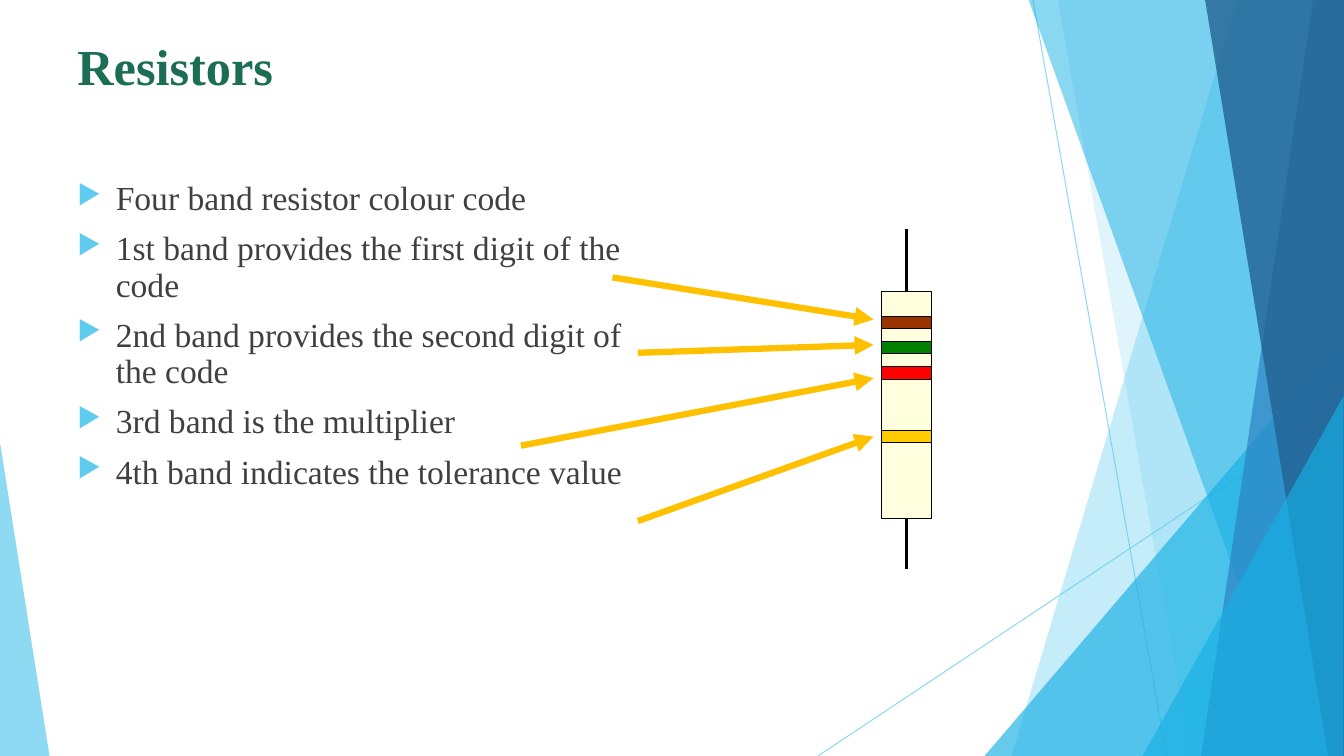
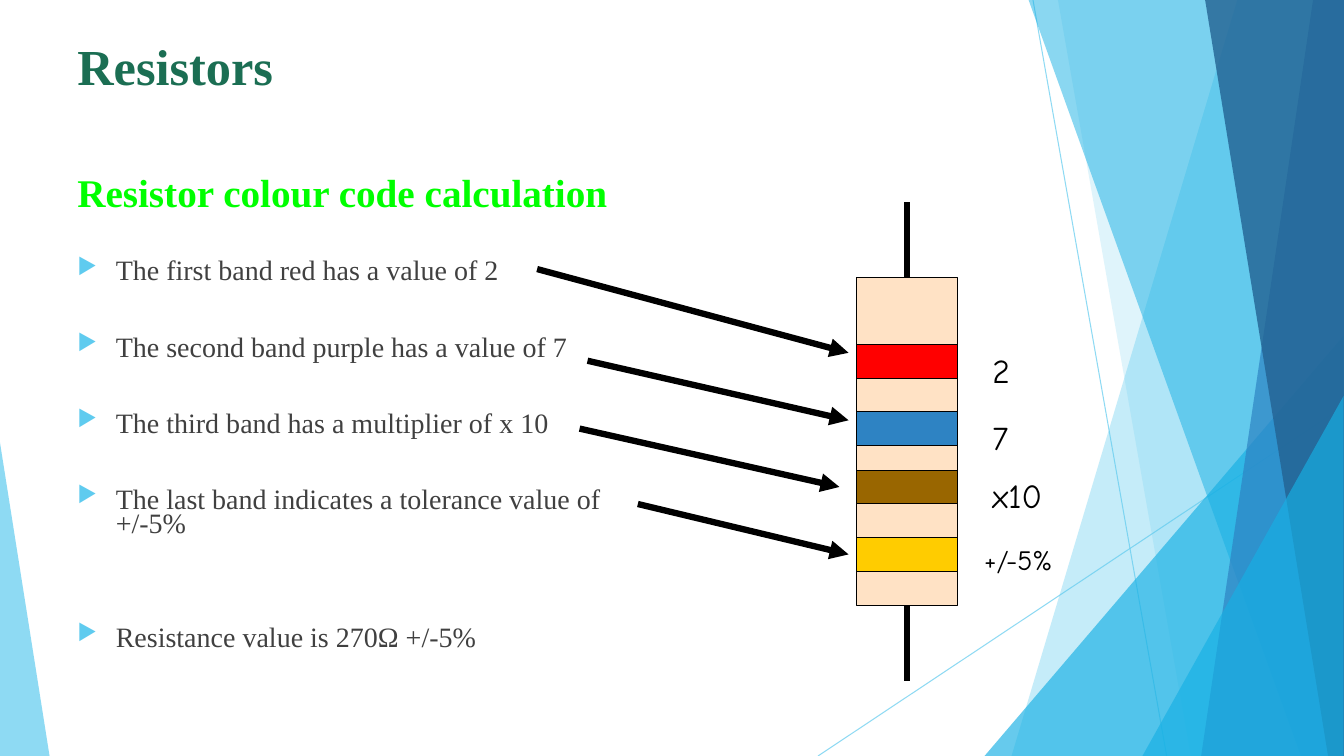
from lxml.etree import SubElement
from pptx import Presentation
from pptx.dml.color import RGBColor
from pptx.enum.shapes import MSO_CONNECTOR as Connector, MSO_SHAPE as Shape
from pptx.oxml.ns import qn
from pptx.util import Cm, Pt

SLIDE_WIDTH, SLIDE_HEIGHT = 33.88, 19.05
SKY = RGBColor(0x5F, 0xCB, 0xEF)
CYAN = RGBColor(0x17, 0xB0, 0xE4)
BLUE = RGBColor(0x2E, 0x83, 0xC3)
NAVY = RGBColor(0x23, 0x62, 0x92)
TITLE_GREEN = RGBColor(0x1B, 0x6E, 0x53)
HEADING_GREEN = RGBColor(0x00, 0xFF, 0x00)
TEXT_GRAY = RGBColor(0x40, 0x40, 0x40)
BLACK = RGBColor(0x00, 0x00, 0x00)
AMBER = RGBColor(0xFF, 0xC0, 0x00)
CREAM = RGBColor(0xFF, 0xFF, 0x99)
PEACH = RGBColor(0xFF, 0xE2, 0xC5)
RUST = RGBColor(0x99, 0x33, 0x00)
GREEN = RGBColor(0x00, 0x80, 0x00)
RED = RGBColor(0xFF, 0x00, 0x00)
GOLD = RGBColor(0xFF, 0xCC, 0x00)
BROWN = RGBColor(0x99, 0x66, 0x00)

SERIF = "Times New Roman"
HAND = "Comic Neue"
MARGIN = 1.7
BODY_TOP = 4.45
BODY_WIDTH = 14.96
HANGING = 0.97


def set_opacity(properties, percent):
    for color in properties.iter(qn("a:srgbClr")):
        SubElement(color, qn("a:alpha"), val=str(percent * 1000))


def paint(shape, color, opacity=100, outline=None):
    shape.shadow.inherit = False
    shape.fill.solid()
    shape.fill.fore_color.rgb = color
    if opacity < 100:
        set_opacity(shape._element.spPr, opacity)
    if outline is None:
        shape.line.fill.background()
    else:
        shape.line.color.rgb = outline
        shape.line.width = Pt(0.75)


def add_line(slide, start, end, color, weight, opacity=100, arrow=False):
    points = [Cm(value) for value in (*start, *end)]
    connector = slide.shapes.add_connector(Connector.STRAIGHT, *points)
    connector.line.color.rgb = color
    connector.line.width = Pt(weight)
    properties = connector._element.spPr
    if opacity < 100:
        set_opacity(properties, opacity)
    if arrow:
        SubElement(properties.find(qn("a:ln")), qn("a:tailEnd"), type="triangle")
    SubElement(properties, qn("a:effectLst"))
    return connector


def add_rectangle(slide, left, top, width, height, color, opacity=100):
    box = [Cm(value) for value in (left, top, width, height)]
    rectangle = slide.shapes.add_shape(Shape.RECTANGLE, *box)
    paint(rectangle, color, opacity, outline=BLACK)
    return rectangle


def add_triangle(slide, left, top, width, apex, color, opacity):
    """Add a triangle that stands on the bottom edge of the slide."""
    triangle = slide.shapes.add_shape(
        Shape.ISOSCELES_TRIANGLE, Cm(left), Cm(top), Cm(width), Cm(SLIDE_HEIGHT - top))
    triangle.adjustments[0] = apex
    paint(triangle, color, opacity)


def add_facet(slide, top_x, bottom_x, color, opacity):
    """Add a slanted panel that reaches the right edge of the slide."""
    builder = slide.shapes.build_freeform(Cm(top_x), 0)
    corners = [(SLIDE_WIDTH, 0), (SLIDE_WIDTH, SLIDE_HEIGHT), (bottom_x, SLIDE_HEIGHT)]
    builder.add_line_segments([(Cm(x), Cm(y)) for x, y in corners], close=True)
    paint(builder.convert_to_shape(), color, opacity)


def add_text_frame(slide, left, top, width, height):
    frame = slide.shapes.add_textbox(Cm(left), Cm(top), Cm(width), Cm(height)).text_frame
    frame.word_wrap = True
    return frame


def add_bullet(paragraph):
    properties = paragraph._p.get_or_add_pPr()
    properties.set("marL", str(Cm(HANGING)))
    properties.set("indent", str(-Cm(HANGING)))
    bullet_color = SubElement(properties, qn("a:buClr"))
    SubElement(bullet_color, qn("a:srgbClr"), val=str(SKY))
    SubElement(properties, qn("a:buSzPct"), val="80000")
    SubElement(properties, qn("a:buChar"), char="▶")


def write(frame, text, size, color=TEXT_GRAY, font=SERIF, bold=False,
          bullet=False, spacing=1.0, before=0):
    """Write a paragraph, taking the empty first one when it is free."""
    first = frame.paragraphs[0]
    paragraph = frame.add_paragraph() if first.runs else first
    if bullet:
        add_bullet(paragraph)
    paragraph.line_spacing = spacing
    paragraph.space_before = Pt(before)
    run = paragraph.add_run()
    run.text = text
    run.font.size = Pt(size)
    run.font.name = font
    run.font.bold = bold
    run.font.color.rgb = color


def add_backdrop(slide):
    add_line(slide, (26.04, 0), (29.41, SLIDE_HEIGHT), SKY, 0.75, opacity=70)
    add_line(slide, (33.87, 10.24), (20.62, SLIDE_HEIGHT), SKY, 0.75, opacity=70)
    add_facet(slide, 31.19, 25.5, SKY, 36)
    add_facet(slide, 26.67, 30.02, SKY, 20)
    add_triangle(slide, 24.82, 8.46, 9.05, 1, CYAN, 66)
    add_facet(slide, 25.93, 32.79, CYAN, 50)
    add_facet(slide, 33.1, 30.28, BLUE, 70)
    add_facet(slide, 30.38, 33.48, NAVY, 80)
    add_triangle(slide, 28.8, 9.98, 5.07, 1, CYAN, 66)
    add_triangle(slide, 0, 11.15, 1.25, 0, SKY, 70)


def add_base_slide(presentation, title):
    slide = presentation.slides.add_slide(presentation.slide_layouts[6])
    add_backdrop(slide)
    frame = add_text_frame(slide, MARGIN, 0.76, 30.48, 1.7)
    write(frame, title, size=36, color=TITLE_GREEN, bold=True)
    return slide


def add_resistor(slide, left, top, width, height, color, bands, band_height,
                 lead_ends, lead_weight, opacity=100):
    body = add_rectangle(slide, left, top, width, height, color, opacity)
    middle = left + width / 2
    sides = ((0, top), (2, top + height))
    for (side, side_y), end_y in zip(sides, lead_ends):
        lead = add_line(slide, (middle, side_y), (middle, end_y), BLACK, lead_weight)
        lead.begin_connect(body, side)
    for band_top, band_color in bands:
        add_rectangle(slide, left, band_top, width, band_height, band_color)


def add_arrows(slide, arrows, color):
    for start, end in arrows:
        add_line(slide, start, end, color, 4.5, arrow=True)


def build_colour_code(presentation):
    slide = add_base_slide(presentation, "Resistors")
    frame = add_text_frame(slide, MARGIN, BODY_TOP, BODY_WIDTH, 11.43)
    points = [
        "Four band resistor colour code",
        "1st band provides the first digit of the code",
        "2nd band provides the second digit of the code",
        "3rd band is the multiplier",
        "4th band indicates the tolerance value",
    ]
    for index, point in enumerate(points):
        write(frame, point, size=24, bullet=True, spacing=0.9, before=10 if index else 0)

    bands = [(7.97, RUST), (8.6, GREEN), (9.24, RED), (10.84, GOLD)]
    add_resistor(slide, 22.21, 7.35, 1.27, 5.72, CREAM, bands, band_height=0.32,
                 lead_ends=(5.77, 14.33), lead_weight=2, opacity=32)
    add_arrows(slide, [
        ((15.44, 6.99), (22.02, 8.05)),
        ((16.08, 8.89), (22.02, 8.69)),
        ((13.13, 11.23), (22.02, 9.53)),
        ((16.08, 13.13), (22.02, 11)),
    ], AMBER)


def build_calculation(presentation):
    slide = add_base_slide(presentation, "Resistors")
    frame = add_text_frame(slide, MARGIN, BODY_TOP, BODY_WIDTH, 12.57)
    write(frame, "Resistor colour code calculation", size=28, color=HEADING_GREEN,
          bold=True, spacing=0.7)
    points = [
        ("The first band red has a value of 2", 34),
        ("The second band purple has a value of 7", 37.7),
        ("The third band has a multiplier of x 10", 37.7),
        ("The last band indicates a tolerance value of +/-5%", 37.7),
        ("Resistance value is 270Ω +/-5%", 64.7),
    ]
    for point, before in points:
        write(frame, point, size=20, bullet=True, spacing=0.7, before=before)

    bands = [(8.68, RED), (10.37, BLUE), (11.85, BROWN), (13.55, GOLD)]
    add_resistor(slide, 21.59, 6.99, 2.54, 8.26, PEACH, bands, band_height=0.85,
                 lead_ends=(5.08, 17.15), lead_weight=4.5)
    add_arrows(slide, [
        ((13.54, 6.78), (21.39, 8.89)),
        ((14.81, 9.09), (21.39, 10.59)),
        ((14.61, 10.8), (21.16, 12.27)),
        ((16.08, 12.7), (21.39, 13.97)),
    ], BLACK)
    labels = [("2", 24.77, 24), ("7", 24.77, 24), ("x10", 24.77, 24), ("+/-5%", 24.56, 20)]
    for (band_top, _), (label, left, size) in zip(bands, labels):
        label_frame = add_text_frame(slide, left, band_top, 3, 1.27)
        write(label_frame, label, size=size, color=BLACK, font=HAND)


def main():
    presentation = Presentation()
    presentation.slide_width = Cm(SLIDE_WIDTH)
    presentation.slide_height = Cm(SLIDE_HEIGHT)
    build_colour_code(presentation)
    build_calculation(presentation)
    presentation.save("out.pptx")


if __name__ == "__main__":
    main()
